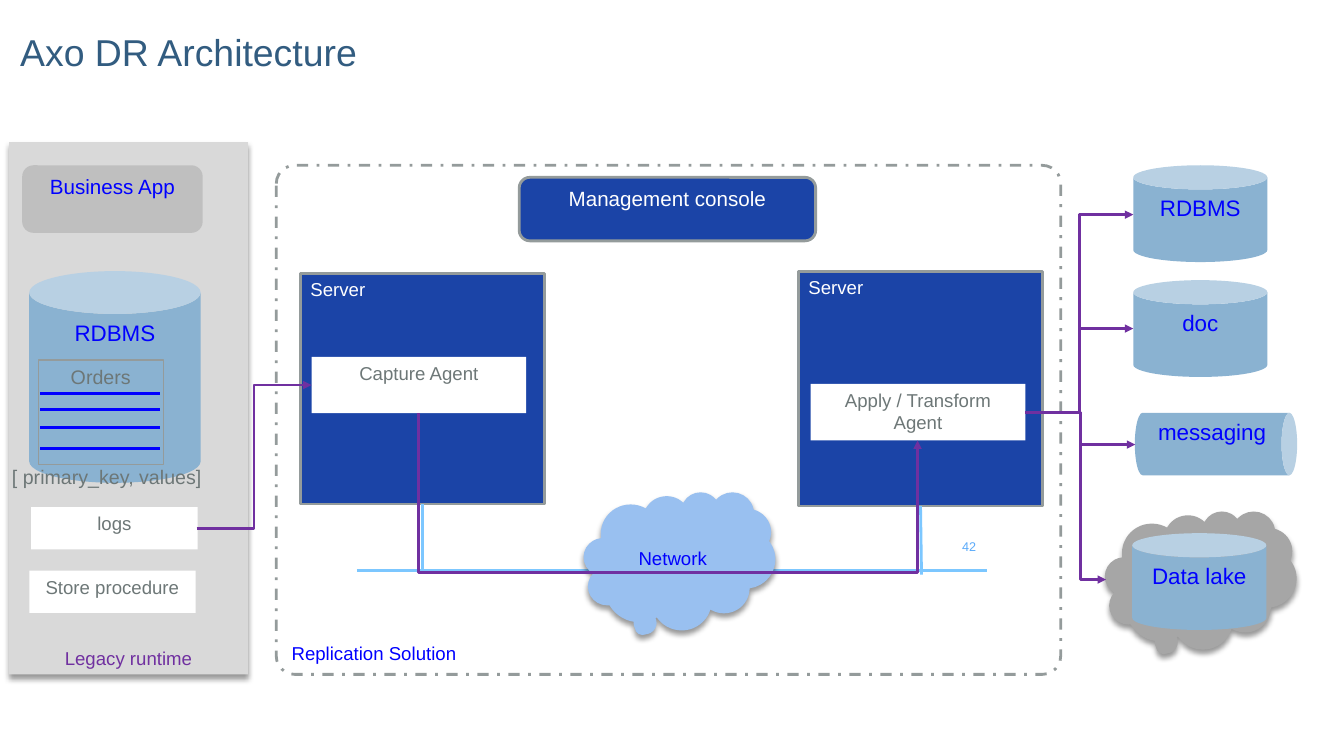
from dataclasses import dataclass
from typing import Optional

from lxml import etree
from pptx import Presentation
from pptx.dml.color import RGBColor
from pptx.enum.dml import MSO_LINE
from pptx.enum.shapes import MSO_CONNECTOR as Link, MSO_SHAPE as Kind
from pptx.enum.text import MSO_ANCHOR as Anchor, MSO_AUTO_SIZE as AutoSize, PP_ALIGN as Align
from pptx.oxml import parse_xml
from pptx.oxml.ns import nsdecls, qn
from pptx.util import Inches, Pt

WHITE = RGBColor(0xFF, 0xFF, 0xFF)
TITLE_BLUE = RGBColor(0x32, 0x5C, 0x80)
BLUE = RGBColor(0x00, 0x00, 0xFF)
NAVY = RGBColor(0x1B, 0x44, 0xA7)
STEEL = RGBColor(0x8A, 0xB2, 0xD1)
SKY = RGBColor(0x7C, 0xC7, 0xFF)
NUMBER_BLUE = RGBColor(0x5A, 0xAA, 0xFA)
CLOUD_BLUE = RGBColor(0x99, 0xC0, 0xF0)
PURPLE = RGBColor(0x70, 0x30, 0xA0)
TEXT_GRAY = RGBColor(0x6D, 0x77, 0x77)
BORDER_GRAY = RGBColor(0x94, 0x9B, 0x9B)
PANEL_GRAY = RGBColor(0xD9, 0xD9, 0xD9)
APP_GRAY = RGBColor(0xBF, 0xBF, 0xBF)
LAKE_GRAY = RGBColor(0xA6, 0xA6, 0xA6)
FONT = "Arial"


@dataclass
class Box:
    kind: Kind
    left: float
    top: float
    width: float
    height: float
    text: str = ""
    fill: Optional[RGBColor] = None
    color: RGBColor = TEXT_GRAY
    size: float = 13.3
    border: float = 0
    align: Align = Align.CENTER
    anchor: Anchor = Anchor.TOP
    adjustments: tuple = ()
    shadow: bool = False
    dashed: bool = False
    sideways: bool = False


@dataclass
class Segment:
    x1: float
    y1: float
    x2: float
    y2: float
    bend: float = 0.5


def can(left: float, top: float, text: str, width: float = 1.33, height: float = 0.96,
        sideways: bool = False) -> Box:
    return Box(Kind.CAN, left, top, width, height, text, STEEL, BLUE, 16, sideways=sideways)


def cloud(left: float, top: float, fill: RGBColor, text: str = "") -> Box:
    return Box(Kind.CLOUD_CALLOUT, left, top, 1.9, 1.37, text, fill, BLUE,
               anchor=Anchor.MIDDLE, adjustments=(-0.187, 0.466), shadow=True)


def server(left: float, top: float, height: float) -> Box:
    return Box(Kind.RECTANGLE, left, top, 2.42, height, "Server", NAVY, WHITE,
               border=2, align=Align.LEFT)


def white_box(left: float, top: float, width: float, height: float, text: str) -> Box:
    return Box(Kind.RECTANGLE, left, top, width, height, text, WHITE)


def write(paragraph, text: str, size: float, color: RGBColor, align: Align) -> None:
    paragraph.alignment = align
    run = paragraph.add_run()
    run.text = text
    run.font.name = FONT
    run.font.size = Pt(size)
    run.font.color.rgb = color


def add_label(slide, left: float, top: float, width: float, height: float, text: str,
              size: float, color: RGBColor, align: Align):
    shape = slide.shapes.add_textbox(Inches(left), Inches(top), Inches(width), Inches(height))
    write(shape.text_frame.paragraphs[0], text, size, color, align)
    return shape.text_frame


def add_box(slide, box: Box):
    shape = slide.shapes.add_shape(box.kind, Inches(box.left), Inches(box.top),
                                   Inches(box.width), Inches(box.height))
    for index, value in enumerate(box.adjustments):
        shape.adjustments[index] = value
    if box.fill is None:
        shape.fill.background()
    else:
        shape.fill.solid()
        shape.fill.fore_color.rgb = box.fill
    if box.border:
        shape.line.color.rgb = BORDER_GRAY
        shape.line.width = Pt(box.border)
        if box.dashed:
            shape.line.dash_style = MSO_LINE.DASH_DOT
    else:
        shape.line.fill.background()
    shape.shadow.inherit = False
    if box.shadow:
        effects = shape._element.spPr.find(qn("a:effectLst"))
        effects.append(parse_xml(
            f'<a:outerShdw {nsdecls("a")} blurRad="{Pt(4)}" dist="{Pt(3)}" dir="5400000" '
            'rotWithShape="0"><a:srgbClr val="000000"><a:alpha val="40000"/></a:srgbClr>'
            '</a:outerShdw>'))
    frame = shape.text_frame
    frame.word_wrap = True
    frame.vertical_anchor = box.anchor
    if box.sideways:
        shape.rotation = 90
        frame._txBody.bodyPr.set("vert", "vert270")
    if box.text:
        write(frame.paragraphs[0], box.text, box.size, box.color, box.align)
    return shape


def add_line(slide, kind: Link, line: Segment, color: RGBColor):
    connector = slide.shapes.add_connector(kind, Inches(line.x1), Inches(line.y1),
                                           Inches(line.x2), Inches(line.y2))
    connector.line.color.rgb = color
    connector.line.width = Pt(2)
    etree.SubElement(connector._element.spPr, qn("a:effectLst"))
    return connector


def add_flow(slide, line: Segment):
    connector = add_line(slide, Link.ELBOW, line, PURPLE)
    properties = connector._element.spPr
    etree.SubElement(properties.find(qn("a:ln")), qn("a:tailEnd"), type="triangle")
    guides = properties.find(qn("a:prstGeom")).get_or_add_avLst()
    etree.SubElement(guides, qn("a:gd"), name="adj1", fmla=f"val {round(line.bend * 100000)}")
    return connector


def main() -> None:
    presentation = Presentation()
    presentation.slide_width = Inches(13.33)
    presentation.slide_height = Inches(7.5)
    slide = presentation.slides.add_slide(presentation.slide_layouts[5])

    # Title
    title = slide.shapes.title
    title.left, title.top = Inches(0.2), Inches(0.06)
    title.width, title.height = Inches(12.24), Inches(0.68)
    frame = title.text_frame
    frame.auto_size = AutoSize.NONE
    frame.vertical_anchor = Anchor.BOTTOM
    frame.margin_left = frame.margin_bottom = 0
    frame.paragraphs[0].line_spacing = 0.85
    write(frame.paragraphs[0], "Axo DR Architecture", 26.7, TITLE_BLUE, Align.LEFT)

    # Slide number
    number = add_label(slide, 9.34, 5.27, 0.44, 0.3, "42", 9, NUMBER_BLUE, Align.RIGHT)
    number.word_wrap = True
    number.vertical_anchor = Anchor.MIDDLE

    # Legacy runtime
    for box in (
        Box(Kind.RECTANGLE, 0.09, 1.41, 2.37, 5.28, "Legacy runtime", PANEL_GRAY, PURPLE,
            anchor=Anchor.BOTTOM, shadow=True),
        Box(Kind.ROUNDED_RECTANGLE, 0.22, 1.64, 1.79, 0.67, "Business App", APP_GRAY, BLUE, 14.7),
        can(0.29, 2.69, "RDBMS", 1.7, 2.1),
        Box(Kind.RECTANGLE, 0.38, 3.57, 1.24, 1.04, "Orders", size=14, border=1),
        white_box(0.31, 5.03, 1.65, 0.42, "logs"),
        white_box(0.29, 5.66, 1.65, 0.42, "Store procedure"),
    ):
        add_box(slide, box)
    for row in (3.9, 4.06, 4.24, 4.45):
        add_line(slide, Link.STRAIGHT, Segment(0.4, row, 1.59, row), BLUE)
    record = add_label(slide, 0.02, 4.56, 2.09, 0.34, "[ primary_key, values]", 14,
                       TEXT_GRAY, Align.LEFT)
    record.word_wrap = False
    record.auto_size = AutoSize.SHAPE_TO_FIT_TEXT

    # Replication solution
    capture_server = add_box(slide, server(2.98, 2.71, 2.29))
    apply_server = add_box(slide, server(7.92, 2.69, 2.33))
    for box in (
        Box(Kind.ROUNDED_RECTANGLE, 2.74, 1.64, 7.78, 5.05, "Replication Solution", color=BLUE,
            border=2, align=Align.LEFT, anchor=Anchor.BOTTOM, adjustments=(0.036,), dashed=True),
        white_box(3.09, 3.54, 2.13, 0.56, "Capture Agent"),
        white_box(8.04, 3.81, 2.13, 0.56, "Apply / Transform Agent"),
        Box(Kind.ROUNDED_RECTANGLE, 5.15, 1.76, 2.94, 0.63, "Management console", NAVY, WHITE,
            14.7, border=2),
    ):
        add_box(slide, box)

    # Network
    add_line(slide, Link.STRAIGHT, Segment(3.54, 5.66, 9.79, 5.66), SKY)
    for host, drop in ((capture_server, Segment(4.19, 5, 4.19, 5.66)),
                       (apply_server, Segment(9.13, 5.02, 9.14, 5.7))):
        add_line(slide, Link.STRAIGHT, drop, SKY).begin_connect(host, 2)
    add_box(slide, cloud(5.79, 4.88, CLOUD_BLUE, "Network"))

    # Targets
    for box in (
        cloud(10.96, 5.07, LAKE_GRAY),
        can(11.24, 1.64, "RDBMS"),
        can(11.24, 2.78, "doc"),
        can(11.75, 3.6, "messaging", 0.62, 1.61, sideways=True),
        can(11.23, 5.29, "Data lake"),
    ):
        add_box(slide, box)

    # Data flows
    add_flow(slide, Segment(1.95, 5.24, 3.09, 3.82))
    agent_flow = add_flow(slide, Segment(6.76, 1.76, 6.49, 6.71, 5.84))
    agent_flow._element.spPr.find(qn("a:xfrm")).set("rot", str(270 * 60000))
    for x, y, bend in ((11.24, 3.26, 0.5), (11.24, 2.13, 0.5),
                       (11.26, 4.41, 0.5), (10.97, 5.75, 0.68)):
        add_flow(slide, Segment(10.17, 4.09, x, y, bend))

    presentation.save("out.pptx")


if __name__ == "__main__":
    main()
